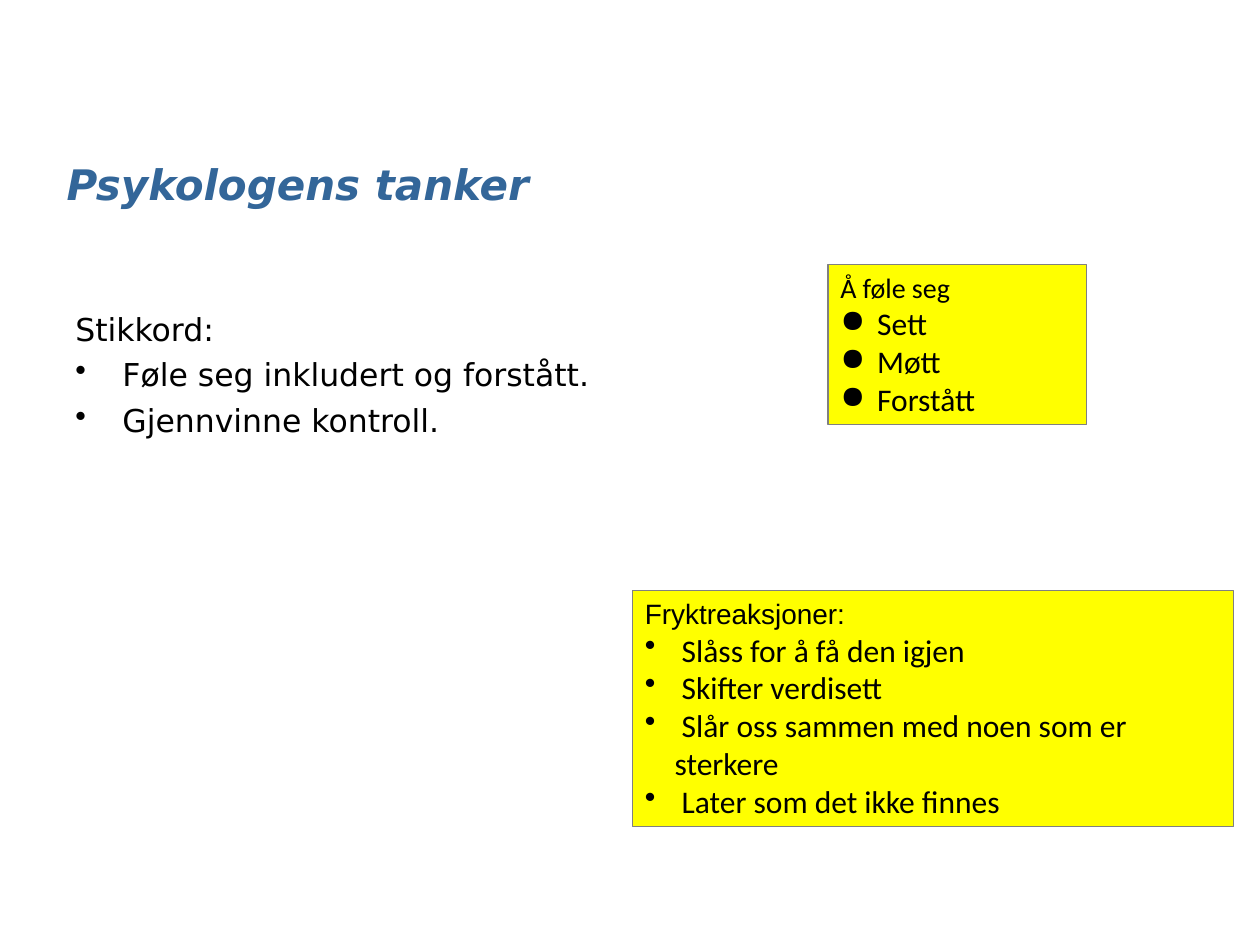
from dataclasses import dataclass
from typing import Optional

from lxml import etree
from pptx import Presentation
from pptx import util as u
from pptx.dml.color import RGBColor
from pptx.enum import shapes, text
from pptx.oxml import ns


@dataclass
class Line:
    text: str
    size: float = 18
    font: str = "Calibri"
    bullet: str = ""


@dataclass
class Box:
    left: float
    top: float
    width: float
    height: float
    lines: list[Line]
    hang: float = 0.6
    gap: float = 0
    fill: Optional[str] = None


def color(value: str) -> RGBColor:
    return RGBColor.from_string(value)


def place(s, left: float, top: float, width: float, height: float) -> None:
    s.left, s.top = u.Cm(left), u.Cm(top)
    s.width, s.height = u.Cm(width), u.Cm(height)


def add_text(p, content: str, *, size: float = 18, font: str = "Calibri",
             fill: str = "000000", bold: bool = False, italic: bool = False) -> None:
    p.alignment = text.PP_ALIGN.LEFT
    r = p.add_run()
    r.text = content
    r.font.size = u.Pt(size)
    r.font.name = font
    r.font.color.rgb = color(fill)
    r.font.bold = bold
    r.font.italic = italic


def add_bullet(p, char: str, hang: float) -> None:
    pPr = p._p.get_or_add_pPr()
    pPr.set("marL", str(u.Cm(hang)))
    pPr.set("indent", str(-u.Cm(hang)))
    clr = etree.SubElement(pPr, ns.qn("a:buClr"))
    etree.SubElement(clr, ns.qn("a:srgbClr"), val="000000")
    etree.SubElement(pPr, ns.qn("a:buChar"), char=char)


def draw_box(slide, box: Box) -> None:
    area = [u.Cm(n) for n in (box.left, box.top, box.width, box.height)]
    if box.fill:
        s = slide.shapes.add_shape(shapes.MSO_SHAPE.RECTANGLE, *area)
        s.shadow.inherit = False
        s.fill.solid()
        s.fill.fore_color.rgb = color(box.fill)
        s.line.color.rgb = color("808080")
        s.line.width = u.Pt(0.75)
    else:
        s = slide.shapes.add_textbox(*area)
    tf = s.text_frame
    tf.word_wrap = True
    tf.vertical_anchor = text.MSO_ANCHOR.TOP
    for i, line in enumerate(box.lines):
        p = tf.add_paragraph() if i else tf.paragraphs[0]
        if i and box.gap:
            p.space_before = u.Pt(box.gap)
        if line.bullet:
            add_bullet(p, line.bullet, box.hang)
        add_text(p, line.text, size=line.size, font=line.font)


BOXES = [
    Box(1.27, 6.12, 22.81, 8.79, [
        Line("Stikkord:", font="DejaVu Sans"),
        Line("Føle seg inkludert og forstått.", font="DejaVu Sans", bullet="•"),
        Line("Gjennvinne kontroll.", font="DejaVu Sans", bullet="•"),
    ], hang=0.95, gap=4.5),
    Box(16.69, 5.33, 5.21, 3.23, [
        Line("Å føle seg", size=16),
        *(Line(t, bullet="●") for t in (" Sett", " Møtt", " Forstått")),
    ], fill="FFFF00"),
    Box(12.75, 11.91, 12.12, 4.75, [
        Line("Fryktreaksjoner:", size=16, font="Arial"),
        *(Line(t, bullet="•") for t in (
            " Slåss for å få den igjen",
            " Skifter verdisett",
            " Slår oss sammen med noen som er sterkere",
            " Later som det ikke finnes",
        )),
    ], fill="FFFF00"),
]


def main() -> None:
    prs = Presentation()
    prs.slide_width, prs.slide_height = u.Cm(25.4), u.Cm(19.05)
    slide = prs.slides.add_slide(prs.slide_layouts[5])
    title = slide.shapes.title
    place(title, 1.09, 2.13, 22.83, 3.15)
    title.text_frame.vertical_anchor = text.MSO_ANCHOR.MIDDLE
    add_text(title.text_frame.paragraphs[0], "Psykologens tanker", size=24,
             font="DejaVu Sans", fill="336699", bold=True, italic=True)
    for box in BOXES:
        draw_box(slide, box)
    prs.save("out.pptx")


if __name__ == "__main__":
    main()
